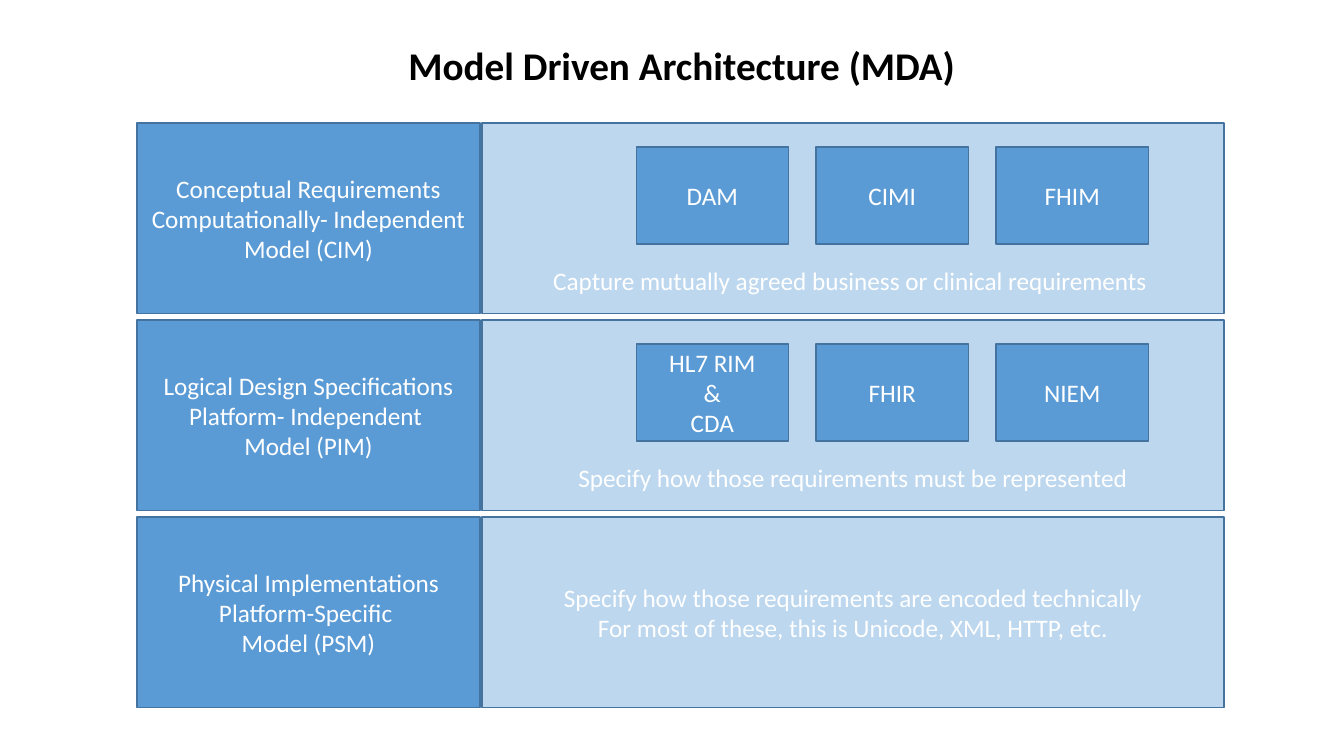
from dataclasses import dataclass

import pptx
import pptx.util
from pptx.dml.color import RGBColor
from pptx.enum.shapes import MSO_SHAPE
from pptx.enum.text import MSO_ANCHOR, PP_ALIGN
from pptx.shapes.autoshape import Shape
from pptx.slide import Slide
from pptx.util import Inches


@dataclass(frozen=True)
class Theme:
    font: str = "Calibri"
    title_size: int = 28
    body_size: int = 18
    title_color: str = "000000"
    box_text: str = "FFFFFF"
    strong_fill: str = "5B9BD5"
    pale_fill: str = "BDD7EE"
    outline: str = "43739E"
    outline_width: float = 1


@dataclass(frozen=True)
class Layer:
    name: str
    purpose: str
    standards: tuple[str, ...] = ()


THEME = Theme()
LAYERS = (
    Layer(
        "Conceptual Requirements\nComputationally- Independent Model (CIM)",
        "Capture mutually agreed business or clinical requirements ",
        ("DAM", "CIMI", "FHIM"),
    ),
    Layer(
        "Logical Design Specifications\nPlatform- Independent \nModel (PIM)",
        "Specify how those requirements must be represented",
        ("HL7 RIM\n&\nCDA", "FHIR", "NIEM"),
    ),
    Layer(
        "Physical Implementations\nPlatform-Specific \nModel (PSM)",
        "Specify how those requirements are encoded technically\n"
        "For most of these, this is Unicode, XML, HTTP, etc.",
    ),
)

LAYER_TOP, LAYER_PITCH, LAYER_HEIGHT = 1.22, 1.955, 1.89
NAME_LEFT, NAME_WIDTH = 1.36, 3.4
PURPOSE_LEFT, PURPOSE_WIDTH = 4.78, 7.36
STANDARD_LEFT, STANDARD_PITCH, STANDARD_OFFSET = 6.31, 1.785, 0.24
STANDARD_WIDTH, STANDARD_HEIGHT = 1.51, 0.96
CAPTION_INSET = 0.18


def write_text(shape: Shape, text: str, size: int, color: str, bold: bool = False) -> None:
    frame = shape.text_frame
    frame.word_wrap = True
    frame.text = text
    for para in frame.paragraphs:
        para.alignment = PP_ALIGN.CENTER
        for span in para.runs:
            span.font.name = THEME.font
            span.font.size = pptx.util.Pt(size)
            span.font.bold = bold
            span.font.color.rgb = RGBColor.from_string(color)


def add_box(slide: Slide, left: float, top: float, width: float, height: float,
            text: str, fill: str) -> Shape:
    box = slide.shapes.add_shape(
        MSO_SHAPE.RECTANGLE, Inches(left), Inches(top), Inches(width), Inches(height))
    box.shadow.inherit = False
    box.fill.solid()
    box.fill.fore_color.rgb = RGBColor.from_string(fill)
    box.line.color.rgb = RGBColor.from_string(THEME.outline)
    box.line.width = pptx.util.Pt(THEME.outline_width)
    box.text_frame.vertical_anchor = MSO_ANCHOR.MIDDLE
    write_text(box, text, THEME.body_size, THEME.box_text)
    return box


def add_layer(slide: Slide, layer: Layer, top: float) -> None:
    """Draw a layer's name, its purpose and the standards above that purpose."""
    add_box(slide, NAME_LEFT, top, NAME_WIDTH, LAYER_HEIGHT, layer.name, THEME.strong_fill)
    purpose = add_box(slide, PURPOSE_LEFT, top, PURPOSE_WIDTH, LAYER_HEIGHT,
                      layer.purpose, THEME.pale_fill)
    if layer.standards:
        purpose.text_frame.vertical_anchor = MSO_ANCHOR.BOTTOM
        purpose.text_frame.margin_bottom = Inches(CAPTION_INSET)
    for column, standard in enumerate(layer.standards):
        add_box(slide, STANDARD_LEFT + column * STANDARD_PITCH, top + STANDARD_OFFSET,
                STANDARD_WIDTH, STANDARD_HEIGHT, standard, THEME.strong_fill)


def main() -> None:
    deck = pptx.Presentation()
    deck.slide_width, deck.slide_height = Inches(13.33), Inches(7.5)
    page = deck.slides.add_slide(deck.slide_layouts[6])
    for row, layer in enumerate(LAYERS):
        add_layer(page, layer, LAYER_TOP + row * LAYER_PITCH)
    title = page.shapes.add_textbox(Inches(1.37), Inches(0.36), Inches(10.78), Inches(0.57))
    write_text(title, "Model Driven Architecture (MDA)", THEME.title_size,
               THEME.title_color, bold=True)
    deck.save("out.pptx")


if __name__ == "__main__":
    main()
